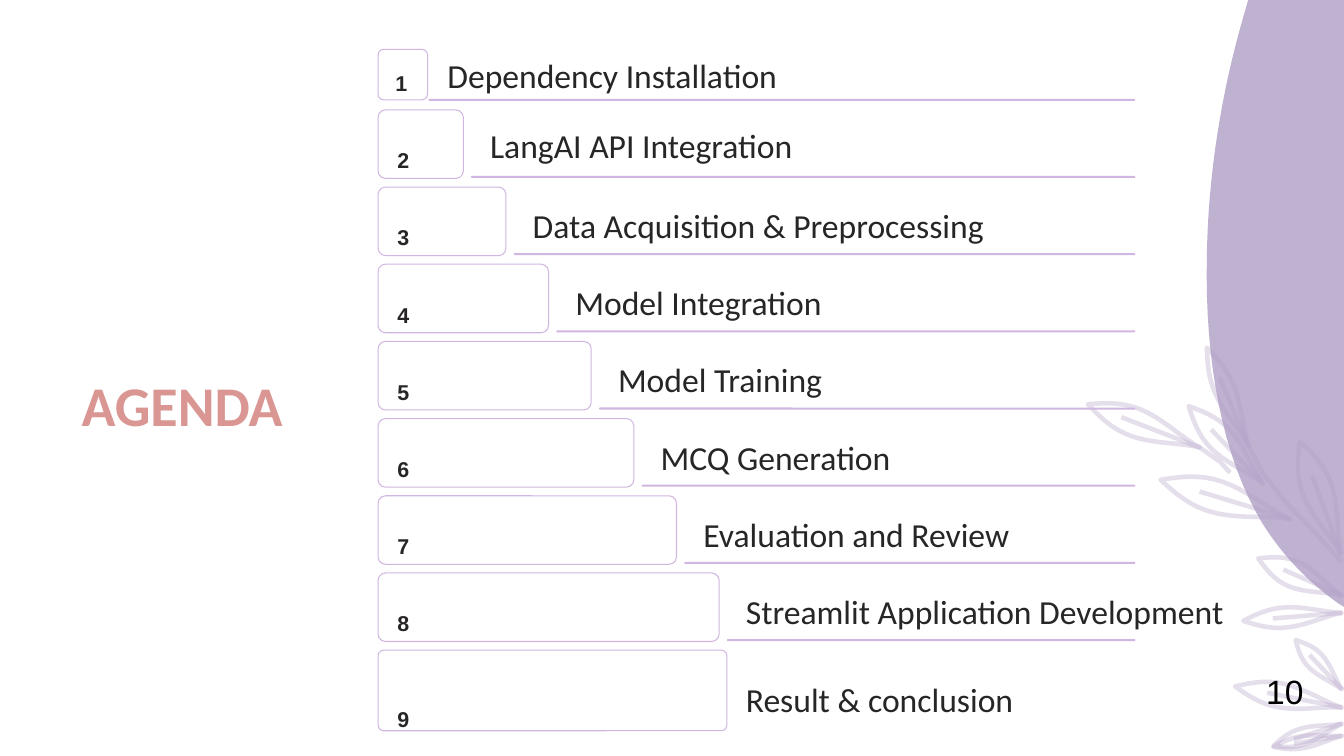
"""Build the agenda slide: nine stepped rows beside a purple botanical border."""
import math

import lxml.etree
import pptx
import pptx.dml.color
import pptx.enum.shapes
import pptx.enum.text
import pptx.oxml.ns
import pptx.util

Inches = pptx.util.Inches
Pt = pptx.util.Pt
ALIGN = pptx.enum.text.PP_ALIGN
ROUNDED = pptx.enum.shapes.MSO_SHAPE.ROUNDED_RECTANGLE
WIDTH, HEIGHT = 13.33, 7.5
THEME = {
    "blob": "8064A2", "leaf": "B2A0C7", "title": "DA9693",
    "rule": "D1B6E1", "text": "272525", "page": "000000",
    "title_size": 40, "label_size": 24, "number_size": 15.3,
    "body_font": "Calibri", "number_font": "Arial",
}


def set_color(color_format, name, opacity=100):
    """Apply a theme colour, with an opacity in percent."""
    color_format.rgb = pptx.dml.color.RGBColor.from_string(THEME[name])
    if opacity < 100:
        color = color_format._xFill.find(pptx.oxml.ns.qn("a:srgbClr"))
        alpha = lxml.etree.SubElement(color, pptx.oxml.ns.qn("a:alpha"))
        alpha.set("val", str(opacity * 1000))


def add_text(box, text, size, font, color, spacing=1.0, align=ALIGN.LEFT, bold=False):
    """Write one formatted paragraph into a text box."""
    box.text_frame.word_wrap = True
    paragraph = box.text_frame.paragraphs[0]
    paragraph.text = text
    paragraph.alignment = align
    paragraph.line_spacing = spacing
    paragraph.font.size = Pt(THEME[size])
    paragraph.font.name = THEME[font]
    paragraph.font.bold = bold
    set_color(paragraph.font.color, color)


presentation = pptx.Presentation()
presentation.slide_width = Inches(WIDTH)
presentation.slide_height = Inches(HEIGHT)
slide = presentation.slides.add_slide(presentation.slide_layouts[5])
shapes = slide.shapes

blob_curves = [
    [(12.34, 0.14), (12.11, 0.92), (11.98, 1.76), (11.97, 2.56)],
    [(11.97, 2.56), (11.95, 3.58), (12.12, 4.53), (12.52, 5.19)],
    [(12.52, 5.19), (12.72, 5.51), (12.98, 5.78), (13.28, 5.99)],
]
blob_points = [(12.38, 0)]
for curve in blob_curves:
    for step in range(17):
        t = step / 16
        weights = [(1 - t) ** 3, 3 * t * (1 - t) ** 2, 3 * t ** 2 * (1 - t), t ** 3]
        blob_points.append(tuple(
            sum(weight * point[axis] for weight, point in zip(weights, curve))
            for axis in (0, 1)))
blob_points.append((WIDTH, 6.02))
builder = shapes.build_freeform(Inches(WIDTH), 0)
builder.add_line_segments([(Inches(x), Inches(y)) for x, y in blob_points])
blob = builder.convert_to_shape()
blob.shadow.inherit = False
blob.fill.solid()
set_color(blob.fill.fore_color, "blob", 50)
blob.line.fill.background()

leaves = [
    ((11.9, 4.44), (10.79, 4.01), 0.14),
    ((12.53, 4.8), (11.79, 4.03), 0.13),
    ((12.38, 4.42), (11.97, 3.45), 0.1),
    ((12.8, 5.15), (11.51, 4.76), 0.16),
    ((13.3, 5.5), (12.89, 4.38), 0.15),
    ((13.31, 5.91), (12.48, 5.54), 0.13),
    ((13.31, 6.08), (12.33, 6.16), 0.1),
    ((13.31, 6.84), (12.85, 6.35), 0.09),
    ((13.31, 7.02), (12.25, 6.81), 0.12),
    ((13.31, 7.18), (12.63, 7.4), 0.08),
    ((13.31, 7.3), (12.63, 7.41), 0.06),
]
stem = [(12.38, 4.42), (12.53, 4.7), (12.75, 4.98), (13.03, 5.27), (13.31, 5.58)]
strokes = [stem, [(11.9, 4.44), (12.1, 4.58), (12.2, 4.69)]]
for (base_x, base_y), (tip_x, tip_y), half_width in leaves:
    run, rise = tip_x - base_x, tip_y - base_y
    length = math.hypot(run, rise)
    outline = []
    for step in range(33):
        share = 1 - abs(1 - step / 16)
        side = half_width * math.sin(math.pi * share ** 1.3)
        side *= 1 if step < 16 else -1
        outline.append((min(base_x + run * share - rise / length * side, WIDTH),
                        base_y + rise * share + run / length * side))
    strokes.append(outline)
    strokes.append([(base_x, base_y), (base_x + 0.7 * run, base_y + 0.7 * rise)])
builder = shapes.build_freeform(Inches(stem[0][0]), Inches(stem[0][1]))
for stroke in strokes:
    points = [(Inches(x), Inches(y)) for x, y in stroke]
    builder.move_to(*points[0])
    builder.add_line_segments(points[1:], close=False)
sprig = builder.convert_to_shape()
sprig.shadow.inherit = False
sprig.fill.background()
sprig.line.width = Pt(3.25)
set_color(sprig.line.color, "leaf", 33)

title = shapes.title
title.left, title.top = Inches(0.71), Inches(3.51)
title.width, title.height = Inches(2.38), Inches(1.09)
title.text_frame.vertical_anchor = pptx.enum.text.MSO_ANCHOR.MIDDLE
add_text(title, "AGENDA", "title_size", "body_font", "title", 0.9, bold=True)

LEFT, RULE_RIGHT = 3.75, 11.26
STEP, PITCH = 2.96 / 7, 5.36 / 7
SECOND_TOP = 1.09
topics = [
    "Dependency Installation", "LangAI API Integration",
    "Data Acquisition & Preprocessing", "Model Integration", "Model Training",
    "MCQ Generation", "Evaluation and Review",
    "Streamlit Application Development", "Result & conclusion",
]
last = len(topics) - 1
special_rows = {
    0: (0.49, 0.49, 0.5, 0, 0),
    1: (SECOND_TOP, 2 * STEP, 0.68, 0.17, 0.09),
    last: (SECOND_TOP + 7 * PITCH, 3.46, 0.8, 0.35, 0.23),
}
for index, topic in enumerate(topics):
    regular_row = (SECOND_TOP + (index - 1) * PITCH, (index + 1) * STEP, 0.68, 0.17, 0.12)
    top, width, height, number_drop, label_drop = special_rows.get(index, regular_row)

    step_box = shapes.add_shape(
        ROUNDED, Inches(LEFT), Inches(top), Inches(width), Inches(height))
    step_box.adjustments[0] = 0.07 if index == last else 0.11
    step_box.shadow.inherit = False
    step_box.fill.background()
    step_box.line.width = Pt(0.75)
    set_color(step_box.line.color, "rule")

    number = shapes.add_textbox(
        Inches(3.78 if index == 0 else 3.8), Inches(top + number_drop),
        Inches(0.4), Inches(0.34))
    add_text(number, str(index + 1), "number_size", "number_font", "text",
             1.6, ALIGN.CENTER, True)

    label_left = 4.34 + min(index, 7) * STEP
    label = shapes.add_textbox(
        Inches(label_left), Inches(top + label_drop),
        Inches(12.4 - label_left), Inches(0.34))
    add_text(label, topic, "label_size", "body_font", "text", 1.02)

    if index < last:
        rule_left = 4.25 + index * STEP
        rule = shapes.add_shape(
            ROUNDED, Inches(rule_left), Inches(0.98 + index * PITCH),
            Inches(RULE_RIGHT - rule_left), Inches(0.02))
        rule.adjustments[0] = 0.5
        rule.shadow.inherit = False
        rule.fill.solid()
        set_color(rule.fill.fore_color, "rule")
        rule.line.fill.background()

page = shapes.add_textbox(Inches(12.46), Inches(6.61), Inches(0.72), Inches(0.6))
add_text(page, "10", "label_size", "number_font", "page")

presentation.save("out.pptx")
